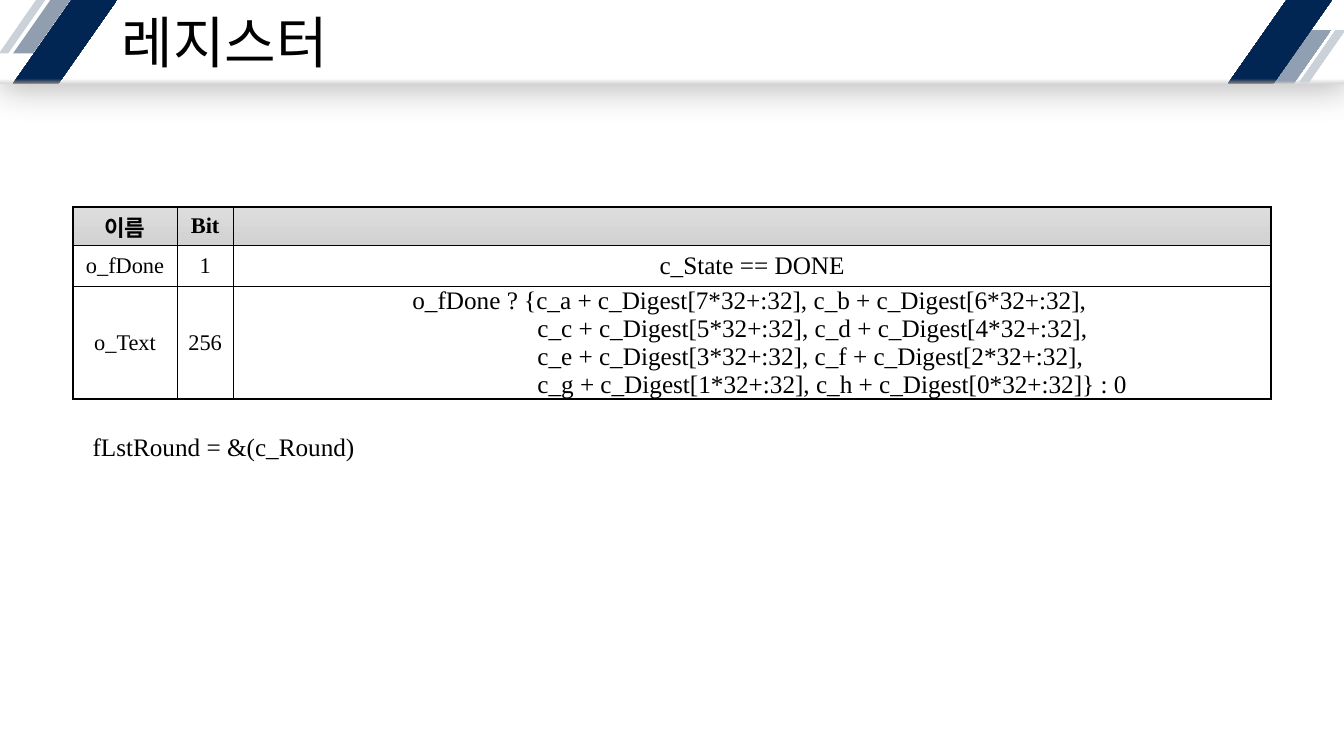
from dataclasses import dataclass

from lxml import etree
from pptx import Presentation
from pptx import util as u
from pptx.dml import color as c
from pptx.enum import shapes, text
from pptx.oxml import ns

Inches = u.Inches


@dataclass(frozen=True)
class Theme:
    font: str = "Times New Roman"
    title_size: int = 40
    label_size: int = 16
    code_size: int = 18
    black: str = "000000"
    white: str = "FFFFFF"
    navy: str = "022653"
    slate: str = "7A8BA1"
    steel: str = "909FB1"
    mist: str = "CAD1D9"
    edge_dark: str = "808080"
    edge_mid: str = "BFBFBF"
    edge_light: str = "D9D9D9"
    shadow: str = "767171"
    header_top: str = "DDDDDD"
    header_bottom: str = "D2D2D2"
    outer_line: float = 1.5
    inner_line: float = 0.25


T = Theme()


def rgb(value):
    return c.RGBColor.from_string(value)


def sub(parent, tag, **attrs):
    return etree.SubElement(parent, ns.qn(tag), {k: str(v) for k, v in attrs.items()})


def sub_color(parent, value, alpha=None):
    clr = sub(parent, "a:srgbClr", val=value)
    if alpha is not None:
        sub(clr, "a:alpha", val=alpha * 1000)


def fill_solid(fill, value):
    fill.solid()
    fill.fore_color.rgb = rgb(value)


def fill_gradient(fill, start, end, end_position, angle):
    fill.gradient()
    fill.gradient_angle = angle
    for stop, value, position in zip(fill.gradient_stops, (start, end), (0, end_position)):
        stop.color.rgb = rgb(value)
        stop.position = position


def format_runs(p, size, bold=False):
    for r in p.runs:
        r.font.name = T.font
        r.font.size = u.Pt(size)
        r.font.bold = bold
        r.font.color.rgb = rgb(T.black)


def add_band(s, kind, box, color, edge=None):
    sp = s.shapes.add_shape(kind, *map(Inches, box))
    sp.shadow.inherit = False
    sp.line.fill.background()
    if edge:
        fill_gradient(sp.fill, edge, color, 0.06, 90)
    else:
        fill_solid(sp.fill, color)
    return sp


def add_stripe(s, box, slant, color, edge=None, alpha=None):
    sp = add_band(s, shapes.MSO_SHAPE.PARALLELOGRAM, box, color, edge)
    sp.adjustments[0] = slant
    if alpha is not None:
        clr = sp._element.spPr.find(".//" + ns.qn("a:srgbClr"))
        sub(clr, "a:alpha", val=alpha * 1000)


def add_header(s):
    bar = add_band(s, shapes.MSO_SHAPE.RECTANGLE, (0, 0, 13.33, 0.83), T.white, T.edge_light)
    effects = bar._element.spPr.find(ns.qn("a:effectLst"))
    shadow = sub(effects, "a:outerShdw", blurRad=u.Pt(24), dist=u.Pt(3),
                 dir=80 * 60000, algn="t", rotWithShape=0)
    sub_color(shadow, T.shadow, 50)

    add_stripe(s, (0.13, 0, 0.57, 0.53), 0.7, T.slate, alpha=83)
    add_stripe(s, (0.13, 0, 1.03, 0.83), 0.7, T.navy, T.edge_dark)
    add_stripe(s, (-0.01, 0, 0.46, 0.53), 0.8, T.mist)
    add_stripe(s, (12.63, 0.3, 0.57, 0.53), 0.7, T.steel, T.edge_mid)
    add_stripe(s, (12.18, 0, 1.03, 0.83), 0.7, T.navy, T.edge_dark)
    add_stripe(s, (12.88, 0.3, 0.46, 0.53), 0.8, T.mist, T.edge_light)


def set_title(s, words):
    sp = s.shapes.title
    s.shapes._spTree.append(sp._element)
    sp.left, sp.top, sp.width, sp.height = map(Inches, (0.15, 0, 8.76, 0.83))
    tf = sp.text_frame
    tf.text = words
    tf.auto_size = text.MSO_AUTO_SIZE.NONE
    tf.vertical_anchor = text.MSO_ANCHOR.MIDDLE
    tf.margin_left = tf.margin_right = Inches(1.06)
    tf.margin_top, tf.margin_bottom = Inches(0.12), Inches(0.04)
    p = tf.paragraphs[0]
    p.alignment = text.PP_ALIGN.LEFT
    p.line_spacing = 0.9
    format_runs(p, T.title_size)


def set_borders(cell, outer):
    tc_pr = cell._tc.get_or_add_tcPr()
    for side in "LRTB":
        width = T.outer_line if side in outer else T.inner_line
        ln = sub(tc_pr, "a:ln" + side, w=u.Pt(width))
        sub_color(sub(ln, "a:solidFill"), T.black)


def set_cell(cell, words, size, bold):
    cell.margin_left = cell.margin_right = cell.margin_top = Inches(0.01)
    cell.margin_bottom = 0
    cell.vertical_anchor = text.MSO_ANCHOR.MIDDLE
    cell.text_frame.text = words
    for p in cell.text_frame.paragraphs:
        p.alignment = text.PP_ALIGN.CENTER
        format_runs(p, size, bold)


def indent_expression(cell, first, rest):
    for i, p in enumerate(cell.text_frame.paragraphs):
        p.alignment = text.PP_ALIGN.LEFT
        p._p.get_or_add_pPr().set("marL", str(Inches(rest if i else first)))


def add_register_table(s, rows, left, top, widths, heights):
    frame = s.shapes.add_table(len(rows), len(widths), Inches(left), Inches(top),
                               Inches(sum(widths)), Inches(sum(heights)))
    table = frame.table
    table.horz_banding = False
    for column, width in zip(table.columns, widths):
        column.width = Inches(width)
    for row, height in zip(table.rows, heights):
        row.height = Inches(height)
    last_row, last_col = len(rows) - 1, len(widths) - 1
    for i, row in enumerate(rows):
        for j, words in enumerate(row):
            cell = table.cell(i, j)
            is_code = i > 0 and j == last_col
            set_cell(cell, words, T.code_size if is_code else T.label_size, i == 0)
            edges = {"L": j == 0, "R": j == last_col, "T": i == 0, "B": i == last_row}
            set_borders(cell, [side for side, is_outer in edges.items() if is_outer])
            if i == 0:
                fill_gradient(cell.fill, T.header_top, T.header_bottom, 1, 270)
            else:
                fill_solid(cell.fill, T.white)
    return table


def add_note(s, words, box):
    tf = s.shapes.add_textbox(*map(Inches, box)).text_frame
    tf.text = words
    tf.word_wrap = False
    tf.auto_size = text.MSO_AUTO_SIZE.SHAPE_TO_FIT_TEXT
    format_runs(tf.paragraphs[0], T.code_size)


def main():
    prs = Presentation()
    prs.slide_width, prs.slide_height = Inches(13.33), Inches(7.5)
    s = prs.slides.add_slide(prs.slide_layouts[5])
    add_header(s)
    set_title(s, "레지스터")
    digest = "\n".join((
        "o_fDone ? {c_a + c_Digest[7*32+:32], c_b + c_Digest[6*32+:32],",
        "c_c + c_Digest[5*32+:32], c_d + c_Digest[4*32+:32],",
        "c_e + c_Digest[3*32+:32], c_f + c_Digest[2*32+:32],",
        "c_g + c_Digest[1*32+:32], c_h + c_Digest[0*32+:32]} : 0",
    ))
    rows = (
        ("이름", "Bit", ""),
        ("o_fDone", "1", "c_State == DONE"),
        ("o_Text", "256", digest),
    )
    table = add_register_table(s, rows, 0.72, 2.05, (1.04, 0.55, 10.3), (0.38, 0.41, 1.12))
    indent_expression(table.cell(2, 2), 1.77, 3.01)
    add_note(s, "fLstRound = &(c_Round)", (0.82, 4.23, 2.83, 0.4))
    prs.save("out.pptx")


if __name__ == "__main__":
    main()
